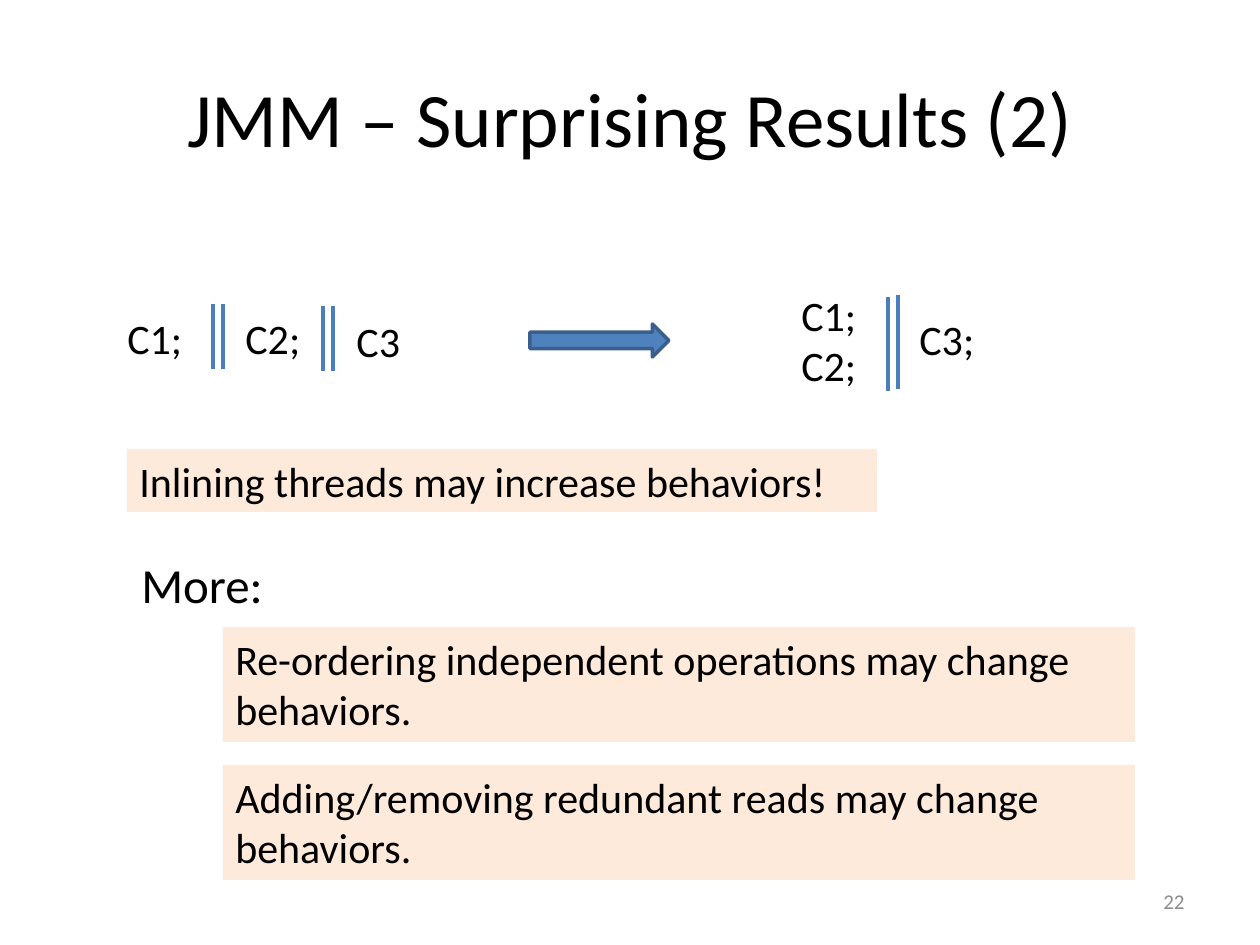
from dataclasses import dataclass

from lxml import etree
from pptx import Presentation
from pptx import util as u
from pptx.dml.color import RGBColor
from pptx.enum import shapes, text
from pptx.oxml.ns import qn

SCALE = 914400 // 126


def px(value):
    """Turn pixels into EMU."""
    return u.Emu(value * SCALE)


@dataclass(frozen=True)
class Theme:
    """Colours, font and type sizes of the deck."""
    font: str = "Calibri"
    ink: str = "000000"
    muted: str = "8C8C8C"
    bar: str = "4B7EBC"
    arrow: str = "4F81BD"
    arrow_edge: str = "3A5F8C"
    note: str = "FDEADA"
    title: int = 44
    heading: int = 28
    body: int = 24
    small: int = 12
    stroke: int = 2


class Painter:
    """Draws styled elements on the current slide."""

    def __init__(self, slide, theme):
        """Keep the slide and its style."""
        self.shapes = slide.shapes
        self.theme = theme

    def set_text(self, shape, lines, size=None, color=None, align="LEFT",
                 anchor="TOP", wrap=True):
        """Fill a shape with one paragraph per line."""
        frame = shape.text_frame
        frame.word_wrap = wrap
        frame.vertical_anchor = text.MSO_ANCHOR[anchor]
        frame.text = "\n".join(lines)
        font_format = {"name": self.theme.font,
                       "size": u.Pt(size or self.theme.body)}
        for para in frame.paragraphs:
            para.alignment = text.PP_ALIGN[align]
            for span in para.runs:
                for name, value in font_format.items():
                    setattr(span.font, name, value)
                span.font.color.rgb = RGBColor.from_string(color or self.theme.ink)

    def label(self, area, *lines, **style):
        """Add a plain text box."""
        box = self.shapes.add_textbox(*map(px, area))
        self.set_text(box, lines, **style)

    def solid(self, kind, area, fill, edge=None):
        """Add a filled preset shape, outlined if an edge colour is given."""
        shape = self.shapes.add_shape(kind, *map(px, area))
        shape.shadow.inherit = False
        shape.fill.solid()
        shape.fill.fore_color.rgb = RGBColor.from_string(fill)
        if edge:
            self.outline(shape.line, edge)
        else:
            shape.line.fill.background()
        return shape

    def note(self, area, line):
        """Add a tinted box with a statement."""
        box = self.solid(shapes.MSO_SHAPE.RECTANGLE, area, self.theme.note)
        self.set_text(box, [line])

    def arrow(self, area):
        """Add a block arrow pointing right."""
        self.solid(shapes.MSO_SHAPE.RIGHT_ARROW, area,
                   self.theme.arrow, self.theme.arrow_edge)

    def outline(self, line, color):
        """Set the colour and width of a line."""
        line.color.rgb = RGBColor.from_string(color)
        line.width = u.Pt(self.theme.stroke)

    def parallel(self, left, top, height, rise=0, gap=10):
        """Add the double bar that means parallel composition."""
        for x, y in ((left, top), (left + gap, top - rise)):
            bar = self.shapes.add_connector(
                shapes.MSO_CONNECTOR.STRAIGHT, *map(px, (x, y, x, y + height)))
            self.outline(bar.line, self.theme.bar)
            etree.SubElement(bar._element.spPr, qn("a:effectLst"))


def main():
    """Build the slide and save it."""
    deck = Presentation()
    deck.slide_width, deck.slide_height = px(1260), px(945)
    theme = Theme()
    page = Painter(deck.slides.add_slide(deck.slide_layouts[6]), theme)

    page.label((63, 38, 1134, 157), "JMM – Surprising Results (2)",
               size=theme.title, align="CENTER", anchor="MIDDLE")

    threads = [
        ((115, 306, 89, 63), ["C1;"]),
        ((233, 306, 89, 63), ["C2;"]),
        ((344, 309, 69, 63), ["C3"]),
        ((789, 283, 89, 115), ["C1;", "C2;"]),
        ((907, 307, 89, 63), ["C3;"]),
    ]
    for area, lines in threads:
        page.label(area, *lines, wrap=False)
    page.parallel(213, 304, 65)
    page.parallel(323, 306, 65)
    page.parallel(888, 297, 94, rise=2)
    page.arrow((530, 324, 139, 33))

    page.note((127, 449, 750, 63), "Inlining threads may increase behaviors!")
    page.label((129, 548, 165, 72), "More:", size=theme.heading)
    effects = ["Re-ordering independent operations may change behaviors.",
               "Adding/removing redundant reads may change behaviors."]
    for row, line in enumerate(effects):
        page.note((223, 627 + row * 138, 912, 115), line)

    page.label((903, 876, 294, 50), "22", size=theme.small,
               color=theme.muted, align="RIGHT", anchor="MIDDLE")
    deck.save("out.pptx")


main()
